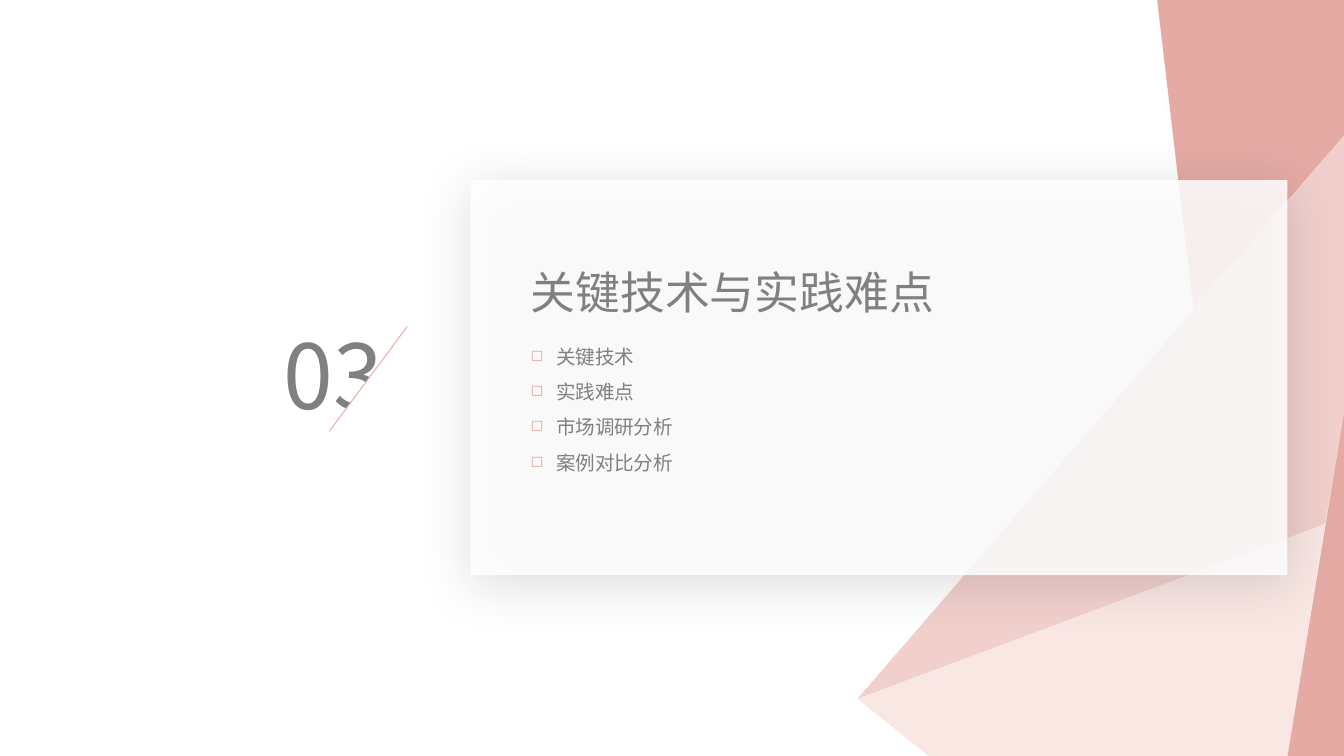
from lxml import etree
from pptx import Presentation
from pptx.dml.color import RGBColor
from pptx.enum import shapes as kinds
from pptx.oxml import parse_xml
from pptx.oxml.ns import nsdecls, qn
from pptx.util import Inches, Pt

WHITE = RGBColor(0xFF, 0xFF, 0xFF)
GREY = RGBColor(0x80, 0x80, 0x80)
ROSE = RGBColor(0xE5, 0xAA, 0xA4)
PINK = RGBColor(0xF1, 0xCF, 0xCD)
CREAM = RGBColor(0xF9, 0xE7, 0xE3)
FONT = "Noto Sans CJK SC"
WIDTH = 10
HEIGHT = WIDTH * 9 / 16


def fill_plain(shape, color):
    shape.shadow.inherit = False
    shape.fill.solid()
    shape.fill.fore_color.rgb = color
    shape.line.fill.background()


def add_text(slide, box, lines, size, wrap=True):
    frame = slide.shapes.add_textbox(*map(Inches, box)).text_frame
    frame.word_wrap = wrap
    frame.text = "\n".join(lines)
    for paragraph in frame.paragraphs:
        font = paragraph.font
        font.name, font.size, font.color.rgb = FONT, Pt(size), GREY
        for run in paragraph.runs:  # East Asian typeface
            etree.SubElement(run._r.get_or_add_rPr(), qn("a:ea"), typeface=FONT)
    return frame


def add_facets(slide, left, top, right, bottom):
    """Overlapping coloured facets along the right edge of the box."""
    tip = (left, 5.2)
    fold = (9.86, 3.9)
    edge_high, edge_low = (right, 1.01), (right, 3.07)
    foot = (9.58, bottom)
    facets = [
        (ROSE, [(8.88, 2.3), (8.61, top), (right, top), edge_high]),
        (PINK, [tip, fold, edge_low, edge_high]),
        (CREAM, [tip, (6.91, bottom), foot, fold]),
        (ROSE, [foot, (right, bottom), edge_low]),
    ]
    for color, corners in facets:
        # The builder rounds to whole units, so it is given EMU
        points = [(Inches(x), Inches(y)) for x, y in corners]
        builder = slide.shapes.build_freeform(*points[0])
        builder.add_line_segments(points[1:], close=True)
        fill_plain(builder.convert_to_shape(), color)


def add_panel(slide, left, top, width, height):
    """Translucent white panel with a soft shadow."""
    panel = slide.shapes.add_shape(
        kinds.MSO_SHAPE.RECTANGLE, *map(Inches, (left, top, width, height)))
    fill_plain(panel, WHITE)
    properties = panel._element.spPr
    white = properties.find(qn("a:solidFill"))[0]
    etree.SubElement(white, qn("a:alpha"), val="85000")
    properties.replace(properties.find(qn("a:effectLst")), parse_xml(
        f'<a:effectLst {nsdecls("a")}>'
        f'<a:outerShdw blurRad="{Pt(29)}" dist="{Pt(5)}" dir="{77 * 60000}" '
        'algn="ctr" rotWithShape="0"><a:srgbClr val="333333">'
        '<a:alpha val="20000"/></a:srgbClr></a:outerShdw></a:effectLst>'))


def add_section_number(slide, left, top, number):
    """Big number whose lower right corner is cut off by a slanted line."""
    add_text(slide, (left, top, 0.98, 0.91), [number], 48)
    cut_left, cut_top, cut_width, cut_height = left + 0.44, top + 0.1, 0.58, 0.78
    # The triangle is turned a quarter, so its sides swap around the centre
    shift = (cut_height - cut_width) / 2
    corner = slide.shapes.add_shape(
        kinds.MSO_SHAPE.RIGHT_TRIANGLE,
        *map(Inches, (cut_left - shift, cut_top + shift, cut_height, cut_width)))
    corner.rotation = 270
    fill_plain(corner, WHITE)
    slash = slide.shapes.add_connector(
        kinds.MSO_CONNECTOR.STRAIGHT,
        *map(Inches, (cut_left + cut_width, cut_top, cut_left, cut_top + cut_height)))
    slash.line.color.rgb = ROSE
    slash.line.width = Pt(0.5)
    etree.SubElement(slash._element.spPr, qn("a:effectLst"))


def add_contents(slide, left, top, title, topics):
    """Section title above its bulleted topics."""
    add_text(slide, (left, top, 3.23, 0.5), [title], 24, wrap=False)
    frame = add_text(slide, (left, top + 0.51, 2.5, 1.13), topics, 10.5)
    indent = Inches(0.19)
    bullet = (f'<a:buClr {{0}}><a:srgbClr val="{ROSE}"/></a:buClr>',
              '<a:buSzPct {0} val="80000"/>',
              '<a:buChar {0} char="◻"/>')
    for paragraph in frame.paragraphs:
        paragraph.line_spacing = 1.5
        properties = paragraph._p.get_or_add_pPr()
        properties.set("marL", str(indent))
        properties.set("indent", str(-indent))
        # Bullet elements come after the spacing and before the run defaults
        place = properties.index(properties.find(qn("a:lnSpc"))) + 1
        for offset, xml in enumerate(bullet):
            properties.insert(place + offset, parse_xml(xml.format(nsdecls("a"))))


def main():
    deck = Presentation()
    deck.slide_width, deck.slide_height = Inches(WIDTH), Inches(HEIGHT)
    slide = deck.slides.add_slide(deck.slide_layouts[6])
    add_facets(slide, 6.38, 0, WIDTH, HEIGHT)
    add_panel(slide, 3.5, 1.34, 6.08, 2.94)
    add_section_number(slide, 2.01, 2.33, "03")
    add_contents(slide, 3.85, 1.92, "关键技术与实践难点",
                 ["关键技术", "实践难点", "市场调研分析", "案例对比分析"])
    deck.save("out.pptx")


if __name__ == "__main__":
    main()
